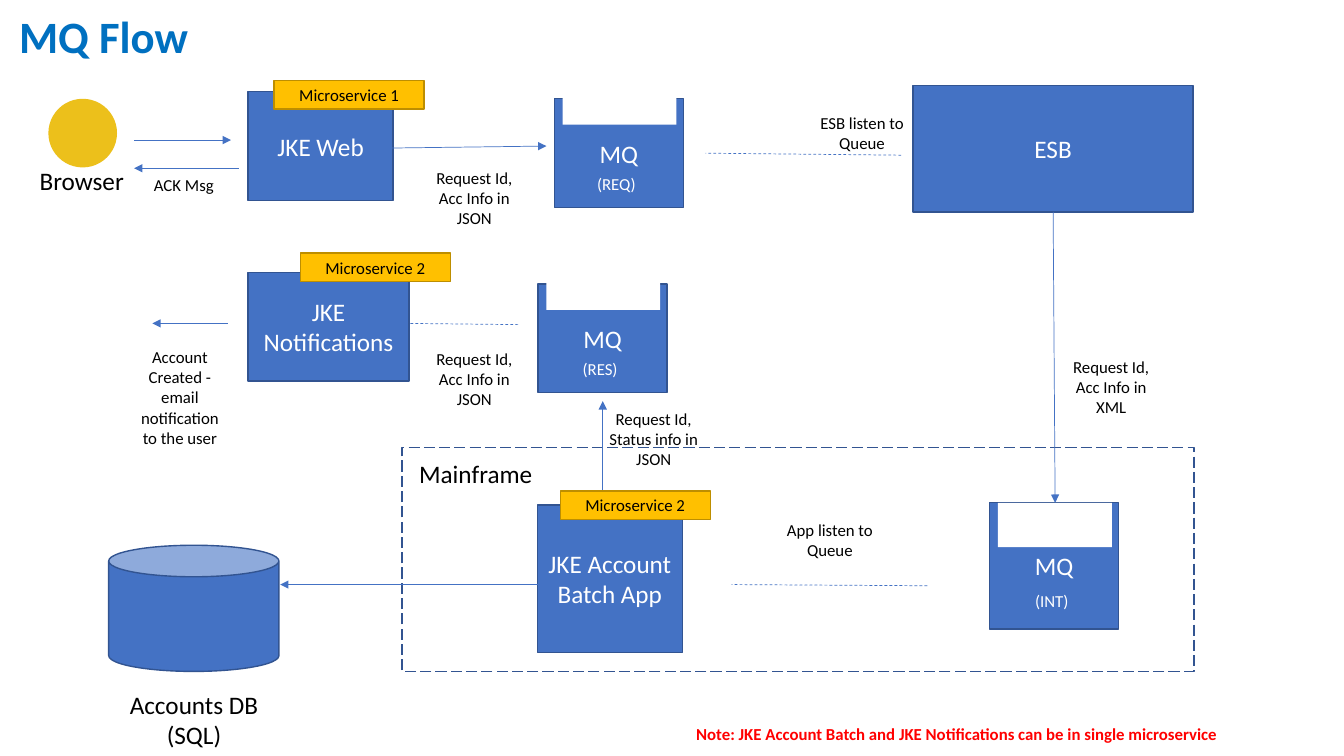
"""Build the MQ Flow architecture slide."""
from lxml import etree
from pptx import Presentation
from pptx import util as u
from pptx.dml import color
from pptx.enum import dml, shapes, text
from pptx.oxml import ns

BLUE, NAVY, SKY = "4472C4", "325491", "0070C0"
AMBER, BROWN, GOLD = "FFC000", "BD8E00", "ECC01B"
WHITE, BLACK, RED = "FFFFFF", "000000", "FF0000"
NOTE_SIZE = (2.87, 1.9)


def rgb(value):
    """Turn a hex string into a colour."""
    return color.RGBColor.from_string(value)


def write(frame, content, size=12, ink=BLACK, bold=False, wrap=True,
          align=text.PP_ALIGN.CENTER, anchor=text.MSO_ANCHOR.MIDDLE, spacing=None):
    """Fill a text frame, one paragraph per line of content."""
    frame.word_wrap = wrap
    frame.vertical_anchor = anchor
    if not wrap:
        frame.auto_size = text.MSO_AUTO_SIZE.SHAPE_TO_FIT_TEXT
    for index, line in enumerate(content.split("\n")):
        paragraph = frame.add_paragraph() if index else frame.paragraphs[0]
        paragraph.alignment = align
        paragraph.line_spacing = spacing
        run = paragraph.add_run()
        run.text = line
        run.font.name = "Calibri"
        run.font.size = u.Pt(size)
        run.font.bold = bold
        run.font.color.rgb = rgb(ink)


class FlowSlide:
    """Draw flow diagram elements on one slide, measured in centimetres."""

    def __init__(self, slide):
        """Keep the slide to draw on."""
        self.slide = slide

    def shape(self, kind, left, top, width, height, fill=BLUE, line=NAVY, dash=None):
        """Add a preset shape."""
        shape = self.slide.shapes.add_shape(
            kind, *map(u.Cm, (left, top, width, height)))
        shape.shadow.inherit = False
        if fill:
            shape.fill.solid()
            shape.fill.fore_color.rgb = rgb(fill)
        else:
            shape.fill.background()
        if line:
            shape.line.color.rgb = rgb(line)
            shape.line.width = u.Pt(1)
            shape.line.dash_style = dash
        else:
            shape.line.fill.background()
        return shape

    def box(self, content, left, top, width, height):
        """Add a labelled application box."""
        shape = self.shape(shapes.MSO_SHAPE.RECTANGLE, left, top, width, height)
        write(shape.text_frame, content, size=18, ink=WHITE)

    def tag(self, content, left, top):
        """Add an amber microservice tag."""
        shape = self.shape(shapes.MSO_SHAPE.RECTANGLE, left, top, 3.78, 0.72, AMBER, BROWN)
        write(shape.text_frame, content)

    def label(self, content, left, top, width, height, **style):
        """Add a text box."""
        box = self.slide.shapes.add_textbox(*map(u.Cm, (left, top, width, height)))
        write(box.text_frame, content, **style)

    def caption(self, content, left, top, width, height):
        """Add a large unwrapped caption."""
        self.label(content, left, top, width, height, size=18, wrap=False,
                   anchor=text.MSO_ANCHOR.TOP)

    def queue(self, name, left, top, height=2.74, notch_rise=0.47, name_drop=1.57):
        """Add a queue box with its open top and name."""
        self.box("MQ", left, top, 3.25, height)
        self.shape(shapes.MSO_SHAPE.RECTANGLE, left + 0.21, top - notch_rise,
                   2.87, 1.12, WHITE, None)
        self.label(name, left + 0.13, top + name_drop, 2.87, 1.12, ink=WHITE)

    def link(self, x1, y1, x2, y2, arrow=True):
        """Add an arrow, or a dashed listening line without a head."""
        connector = self.slide.shapes.add_connector(
            shapes.MSO_CONNECTOR.STRAIGHT, *map(u.Cm, (x1, y1, x2, y2)))
        connector.line.color.rgb = rgb(BLUE)
        connector.line.width = u.Pt(0.5)
        if arrow:
            etree.SubElement(connector.get_or_add_ln(), ns.qn("a:tailEnd"), type="triangle")
        else:
            connector.line.dash_style = dml.MSO_LINE.DASH
        etree.SubElement(connector.element.spPr, ns.qn("a:effectLst"))


presentation = Presentation()
presentation.slide_width, presentation.slide_height = u.Cm(33.87), u.Cm(19.05)
flow = FlowSlide(presentation.slides.add_slide(presentation.slide_layouts[6]))

flow.label("MQ Flow", 0.23, 0.23, 16.1, 1.5, size=32, ink=SKY, bold=True,
           align=text.PP_ALIGN.LEFT, spacing=0.9)

for box in (("JKE Web", 6.25, 2.31, 3.66, 2.74),
            ("JKE Notifications", 6.25, 6.86, 4.06, 2.74),
            ("JKE Account Batch App", 13.54, 12.73, 3.66, 3.71),
            ("ESB", 23.01, 2.16, 7.06, 3.18)):
    flow.box(*box)

flow.queue("(REQ)", 13.97, 2.49)
flow.queue("(RES)", 13.56, 7.16)
flow.queue("(INT)", 24.94, 12.67, height=3.18, notch_rise=0, name_drop=1.91)

flow.shape(shapes.MSO_SHAPE.RECTANGLE, 10.13, 11.28, 19.96, 5.64, None, NAVY,
           dml.MSO_LINE.LONG_DASH)
flow.shape(shapes.MSO_SHAPE.CAN, 2.74, 13.74, 4.29, 3.18)
flow.shape(shapes.MSO_SHAPE.OVAL, 1.22, 2.49, 1.73, 1.73, GOLD, None)

for arrow in ((9.88, 3.73, 13.77, 3.68), (26.54, 5.33, 26.59, 12.67),
              (13.69, 14.73, 7.06, 14.73), (3.38, 3.53, 5.82, 3.53),
              (6.02, 4.24, 3.38, 4.24), (15.19, 12.55, 15.19, 10.11),
              (5.74, 8.15, 3.84, 8.15)):
    flow.link(*arrow)
for listener in ((22.71, 3.91, 17.78, 3.86), (23.37, 14.76, 18.44, 14.73),
                 (13.06, 8.18, 10.34, 8.15)):
    flow.link(*listener, arrow=False)

for caption in (("Accounts DB\n(SQL)", 3, 17.25, 3.78, 1.8),
                ("Mainframe", 10.29, 11.43, 3.4, 1.02),
                ("Browser", 0.74, 4.04, 2.64, 1.02)):
    flow.caption(*caption)

for content, left, top in (("Request Id, Acc Info in JSON", 10.52, 4.04),
                           ("Request Id, Acc Info in JSON", 10.52, 8.59),
                           ("Request Id, Acc Info in XML", 26.57, 8.79),
                           ("Request Id, Status info in JSON", 15.04, 10.11),
                           ("App listen to Queue", 19.48, 12.65),
                           ("ESB listen to Queue", 20.29, 2.39)):
    flow.label(content, left, top, *NOTE_SIZE)
flow.label("ACK Msg", 3.2, 4.09, 2.87, 1.12)
flow.label("Account Created - email notification to the user", 3.1, 8.59, 2.87, 2.84)

for tag in (("Microservice 1", 6.91, 2.03), ("Microservice 2", 7.57, 6.38),
            ("Microservice 2", 14.12, 12.37)):
    flow.tag(*tag)

flow.label("Note: JKE Account Batch and JKE Notifications can be in single microservice",
           15.57, 17.53, 17.09, 1.9, ink=RED, bold=True)

presentation.save("out.pptx")
